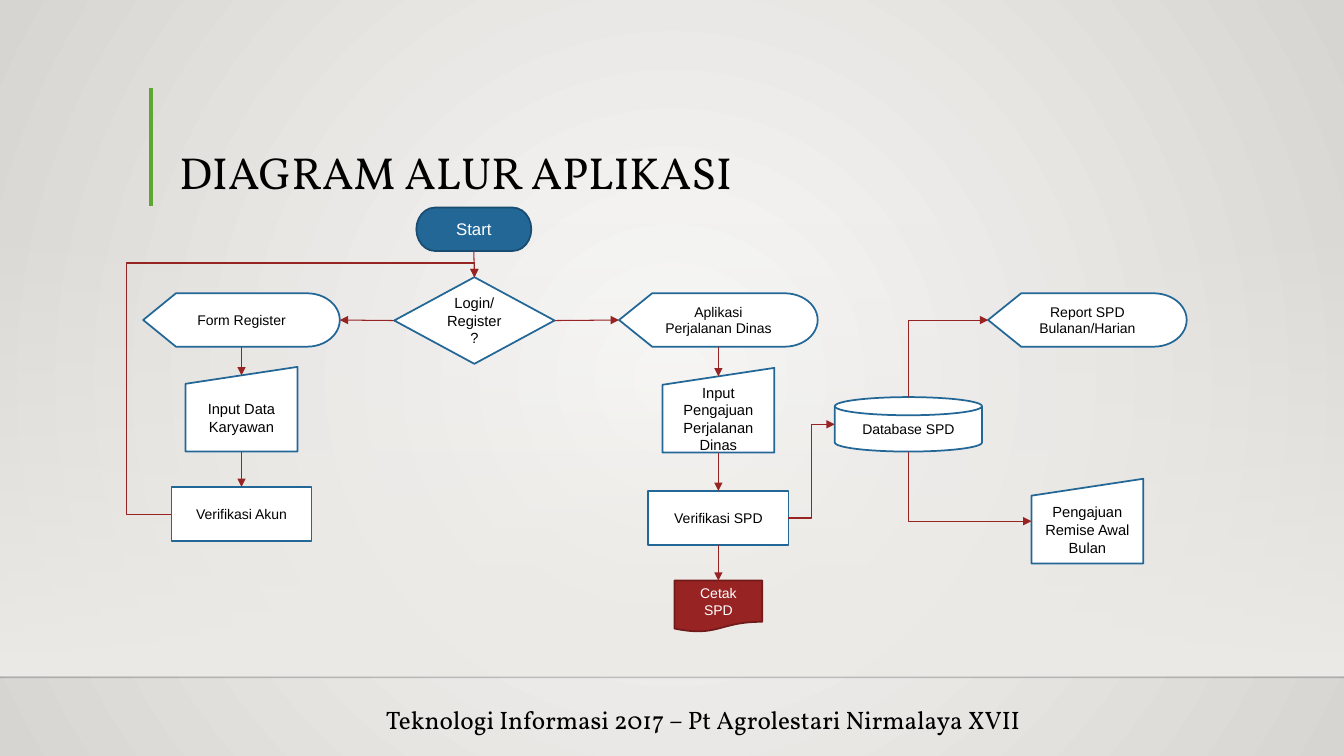
"""Build the application flow diagram slide."""
from lxml import etree
from pptx import Presentation
from pptx.dml.color import RGBColor
from pptx.enum.shapes import MSO_CONNECTOR, MSO_SHAPE
from pptx.enum.text import MSO_ANCHOR, MSO_AUTO_SIZE, PP_ALIGN
from pptx.oxml import parse_xml
from pptx.oxml.ns import nsdecls, qn
from pptx.util import Inches, Pt

STRAIGHT, ELBOW = MSO_CONNECTOR.STRAIGHT, MSO_CONNECTOR.ELBOW
RECT = MSO_SHAPE.RECTANGLE
TERMINATOR = MSO_SHAPE.FLOWCHART_TERMINATOR
DECISION = MSO_SHAPE.FLOWCHART_DECISION
PROCESS = MSO_SHAPE.FLOWCHART_PROCESS
DISPLAY = MSO_SHAPE.FLOWCHART_DISPLAY
INPUT = MSO_SHAPE.FLOWCHART_MANUAL_INPUT
DISK = MSO_SHAPE.FLOWCHART_MAGNETIC_DISK
DOCUMENT = MSO_SHAPE.FLOWCHART_DOCUMENT
TOP, LEFT, BOTTOM, RIGHT = range(4)
SERIF, SANS = "Vollkorn", "Arial"
COLORS = {
    "black": "000000", "white": "FFFFFF", "blue": "236797",
    "dark_blue": "1A4C70", "red": "972323", "dark_red": "701A1A",
    "green": "5FA534", "light": "FAFAF9", "gray": "D7D5D2", "floor": "EDEBE7",
}


def rgb(name):
    """Return the named colour."""
    return RGBColor.from_string(COLORS[name])


def style_text(tf, font, size, color, align=None):
    """Format every run of a text frame."""
    for p in tf.paragraphs:
        p.alignment = align
        for r in p.runs:
            r.font.name = font
            r.font.size = Pt(size)
            r.font.color.rgb = rgb(color)


def set_gradient(owner, fill, stops, shading):
    """Fill with (position, colour, opacity) stops and the given shading XML."""
    fill.gradient()
    gs = "".join(
        f'<a:gs pos="{pos * 1000}"><a:srgbClr val="{COLORS[color]}">'
        f'<a:alpha val="{alpha * 1000}"/></a:srgbClr></a:gs>'
        for pos, color, alpha in stops)
    old = owner.find(".//" + qn("a:gradFill"))
    old.getparent().replace(old, parse_xml(
        f'<a:gradFill {nsdecls("a")} rotWithShape="1">'
        f'<a:gsLst>{gs}</a:gsLst>{shading}</a:gradFill>'))


def add_line(s, kind, points, color, width):
    """Add a shadowless connector between two points in EMU."""
    c = s.shapes.add_connector(kind, *points)
    c.line.color.rgb = rgb(color)
    c.line.width = Pt(width)
    etree.SubElement(c.element.spPr, qn("a:effectLst"))
    return c


def add_backdrop(s):
    """Draw the background, the floor and the two rules."""
    set_gradient(s.element, s.background.fill,
                 [(0, "light", 100), (100, "gray", 100)],
                 '<a:path path="circle"><a:fillToRect l="50000" t="50000" '
                 'r="50000" b="50000"/></a:path>')
    floor = s.shapes.add_shape(RECT, 0, Inches(2.2), Inches(13.33), Inches(4.5))
    floor.shadow.inherit = False
    floor.line.fill.background()
    set_gradient(floor.element, floor.fill,
                 [(0, "floor", 0), (100, "floor", 100)],
                 '<a:lin ang="5400000" scaled="0"/>')
    edge = add_line(s, STRAIGHT, [Inches(v) for v in (0, 6.72, 13.33, 6.72)], "black", 1)
    color = edge.element.find(".//" + qn("a:srgbClr"))
    etree.SubElement(color, qn("a:alpha")).set("val", "20000")
    add_line(s, STRAIGHT, [Inches(v) for v in (1.5, 0.87, 1.5, 2.04)], "green", 3)


def add_title(s, text):
    """Place and format the title placeholder."""
    sp = s.shapes.title
    sp.left, sp.top, sp.width, sp.height = map(Inches, (1.68, 0.88, 10.41, 1.15))
    tf = sp.text_frame
    tf.text = text
    tf.auto_size = MSO_AUTO_SIZE.NONE
    tf.vertical_anchor = MSO_ANCHOR.BOTTOM
    style_text(tf, SERIF, 32, "black", PP_ALIGN.LEFT)
    tf.paragraphs[0].line_spacing = 0.9


def add_caption(s, text):
    """Add the line of text at the foot of the slide."""
    tf = s.shapes.add_textbox(*map(Inches, (3.73, 6.94, 6.65, 0.4))).text_frame
    tf.text = text
    tf.word_wrap = False
    tf.auto_size = MSO_AUTO_SIZE.SHAPE_TO_FIT_TEXT
    style_text(tf, SERIF, 18, "black")


def add_node(s, kind, text, x, y, w, h, size=10,
             fill="white", line="blue", color="black"):
    """Add one flowchart symbol with its label."""
    sp = s.shapes.add_shape(kind, *map(Inches, (x, y, w, h)))
    sp.shadow.inherit = False
    sp.fill.solid()
    sp.fill.fore_color.rgb = rgb(fill)
    sp.line.color.rgb = rgb(line)
    sp.line.width = Pt(1.25)
    tf = sp.text_frame
    tf.text = text
    tf.word_wrap = True
    tf.vertical_anchor = MSO_ANCHOR.MIDDLE
    style_text(tf, SANS, size, color, PP_ALIGN.CENTER)
    return sp


def anchor(sp, side):
    """Return the point where a connector meets a side of a symbol."""
    x, y = sp.left + sp.width // 2, sp.top + sp.height // 2
    slope = sp.height // 10 if sp.auto_shape_type == INPUT else 0
    return {TOP: (x, sp.top + slope), LEFT: (sp.left, y),
            BOTTOM: (x, sp.top + sp.height), RIGHT: (sp.left + sp.width, y)}[side]


def link(s, a, side_a, b, side_b, bend=None, rot=0, flips="", adjusts=()):
    """Join two symbols with an arrow, bent if a preset is given."""
    points = (*anchor(a, side_a), *anchor(b, side_b))
    c = add_line(s, ELBOW if bend else STRAIGHT, points, "red", 0.75)
    for connect, sp, side in ((c.begin_connect, a, side_a), (c.end_connect, b, side_b)):
        connect(sp, side + 1 if sp.auto_shape_type == DISK and side < RIGHT else side)
    c.begin_x, c.begin_y, c.end_x, c.end_y = points
    ln = c.element.spPr.find(qn("a:ln"))
    etree.SubElement(ln, qn("a:tailEnd")).set("type", "triangle")
    if bend:
        bend_link(c, bend, rot, flips, adjusts)


def bend_link(c, bend, rot, flips, adjusts):
    """Set the preset, turn, flips and adjustments of an elbow connector."""
    if rot in (90, 270):
        shift = (c.width - c.height) // 2
        c.left, c.top = c.left + shift, c.top - shift
        c.width, c.height = c.height, c.width
    xfrm = c.element.spPr.find(qn("a:xfrm"))
    xfrm.set("rot", str(rot * 60000))
    for axis in "HV":
        xfrm.set("flip" + axis, str(int(axis in flips)))
    geom = c.element.spPr.find(qn("a:prstGeom"))
    geom.set("prst", bend)
    guides = geom.find(qn("a:avLst"))
    for i, value in enumerate(adjusts, 1):
        gd = etree.SubElement(guides, qn("a:gd"))
        gd.set("name", f"adj{i}")
        gd.set("fmla", f"val {round(value * 100000)}")


def add_flow(s):
    """Draw the symbols and the arrows between them."""
    start = add_node(s, TERMINATOR, "Start", 4.13, 2.06, 1.14, 0.43, 12,
                     "blue", "dark_blue", "white")
    login = add_node(s, DECISION, "Login/ Register?", 3.91, 2.75, 1.59, 0.86, 10.5)
    account = add_node(s, PROCESS, "Verifikasi Akun", 1.7, 4.83, 1.39, 0.54)
    form = add_node(s, DISPLAY, "Form Register", 1.42, 2.91, 1.95, 0.53)
    app = add_node(s, DISPLAY, "Aplikasi Perjalanan Dinas", 6.14, 2.91, 1.97, 0.53)
    staff = add_node(s, INPUT, "Input Data Karyawan", 1.84, 3.64, 1.11, 0.84, 10.5)
    trip = add_node(s, INPUT, "Input Pengajuan Perjalanan Dinas",
                    6.57, 3.65, 1.11, 0.84, 10.5)
    check = add_node(s, PROCESS, "Verifikasi SPD", 6.43, 4.87, 1.39, 0.54)
    printout = add_node(s, DOCUMENT, "Cetak SPD", 6.69, 5.76, 0.87, 0.51, 10,
                        "red", "dark_red", "white")
    database = add_node(s, DISK, "Database SPD", 8.28, 3.94, 1.46, 0.54)
    report = add_node(s, DISPLAY, "Report SPD Bulanan/Harian", 9.8, 2.91, 1.97, 0.53)
    advance = add_node(s, INPUT, "Pengajuan Remise Awal Bulan",
                       10.23, 4.75, 1.11, 0.84, 10.5)

    for a, b in ((start, login), (form, staff), (staff, account),
                 (app, trip), (trip, check), (check, printout)):
        link(s, a, BOTTOM, b, TOP)
    link(s, login, LEFT, form, RIGHT)
    link(s, login, RIGHT, app, LEFT)
    link(s, account, LEFT, login, TOP, "bentConnector4", 180, "H", (-0.15, 1.06))
    link(s, check, RIGHT, database, LEFT, "bentConnector3", 0, "V", (0.5,))
    link(s, database, TOP, report, LEFT, "bentConnector2", 90, "HV")
    link(s, database, BOTTOM, advance, LEFT, "bentConnector2", 270, "H")


def main():
    """Create the presentation."""
    prs = Presentation()
    prs.slide_width, prs.slide_height = Inches(13.33), Inches(7.5)
    s = prs.slides.add_slide(prs.slide_layouts[5])
    add_backdrop(s)
    add_title(s, "DIAGRAM ALUR APLIKASI")
    add_caption(s, "Teknologi Informasi 2017 – Pt Agrolestari Nirmalaya XVII")
    add_flow(s)
    prs.save("out.pptx")


main()
